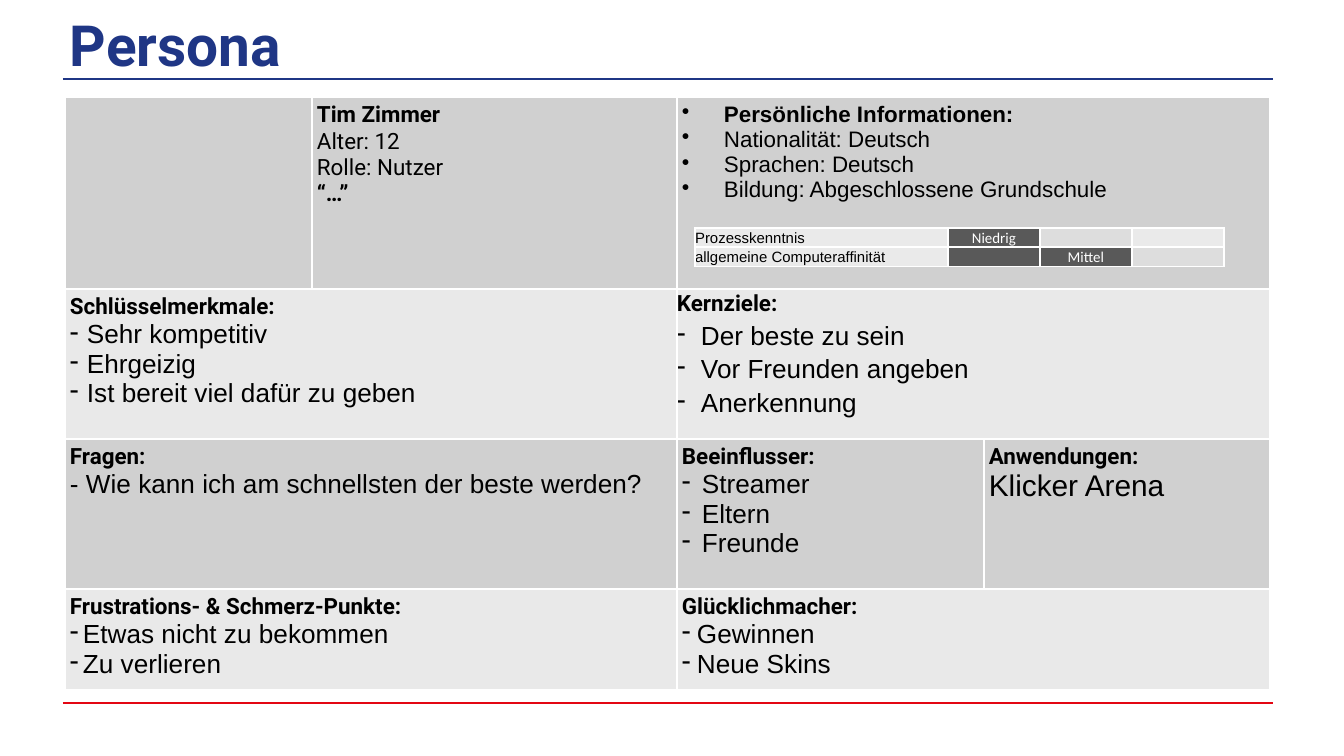
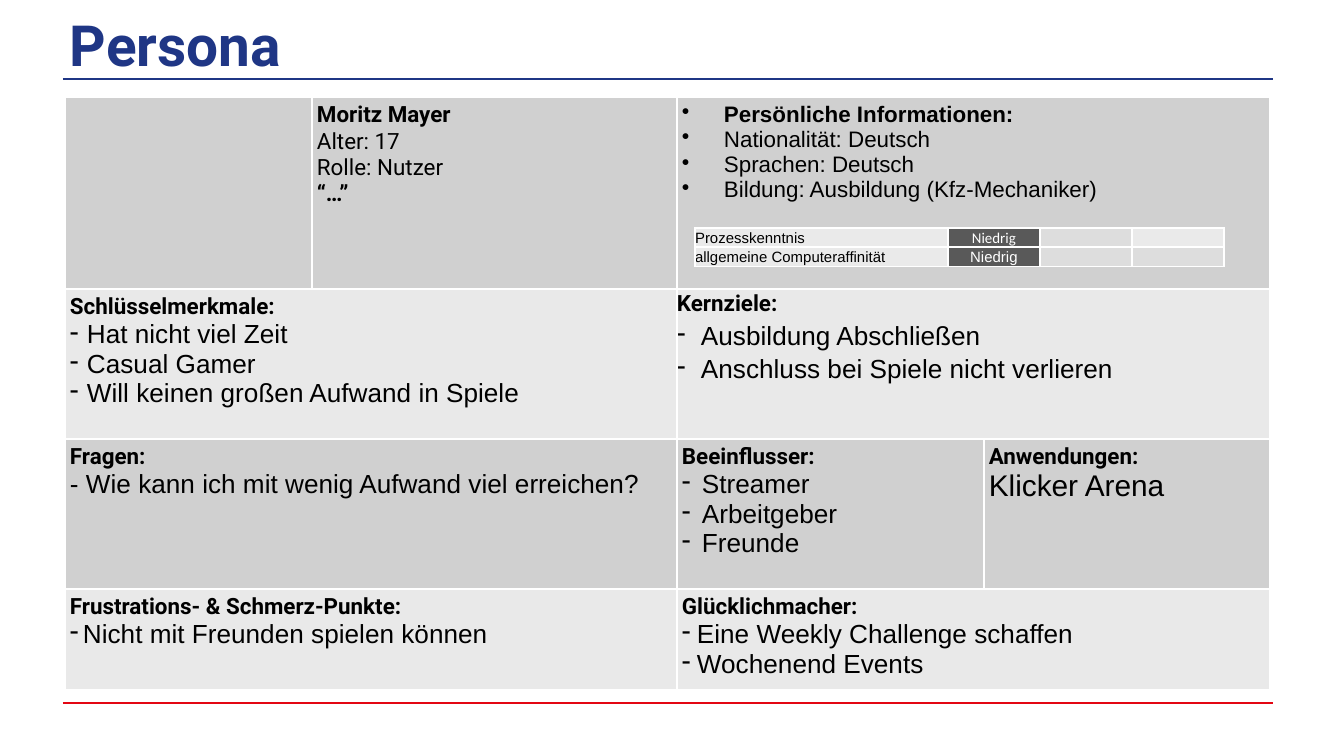
from dataclasses import dataclass

from lxml.etree import SubElement
from pptx import Presentation
from pptx.dml.color import RGBColor
from pptx.enum.shapes import MSO_CONNECTOR
from pptx.enum.text import MSO_ANCHOR, PP_ALIGN
from pptx.oxml.ns import qn
from pptx.util import Pt

NAVY = RGBColor(0x1F, 0x36, 0x85)
RED = RGBColor(0xE3, 0x06, 0x13)
BLACK = RGBColor(0x00, 0x00, 0x00)
WHITE = RGBColor(0xFF, 0xFF, 0xFF)
DARK_ROW = RGBColor(0xD0, 0xD0, 0xD0)
LIGHT_ROW = RGBColor(0xE9, 0xE9, 0xE9)
LEVEL_REACHED = RGBColor(0x59, 0x59, 0x59)
LEVEL_OPEN = RGBColor(0xDD, 0xDD, 0xDD)
LEVEL_PALE = RGBColor(0xEA, 0xEA, 0xEA)

HEADING_FONT = "Roboto"
BODY_FONT = "Arial"
LEVEL_FONT = "Calibri"
LEVELS = ["Niedrig", "Mittel"]

CELL_INSET = 5
PERSONA_COLUMNS = [247, 365, 307, 286]
PERSONA_ROWS = [192, 150, 150, 101]
SKILL_COLUMNS = [253, 92, 92, 92]
SKILL_ROWS = [17, 17]


@dataclass
class Line:
    text: str
    size: float = 12
    font: str = HEADING_FONT
    bold: bool = False
    color: RGBColor = BLACK
    indent: int = 0
    bullet: str = ""
    spacing: float = 1.0
    align: PP_ALIGN = PP_ALIGN.LEFT


@dataclass
class Persona:
    name: str
    age: int
    education: str
    traits: list
    goals: list
    question: str
    influencers: list
    frustrations: list
    delights: list
    skills: list  # label, level and font of the level


PERSONAS = [
    Persona(
        name="Tim Zimmer",
        age=12,
        education="Abgeschlossene Grundschule",
        traits=["Sehr kompetitiv", "Ehrgeizig", "Ist bereit viel dafür zu geben"],
        goals=["Der beste zu sein", "Vor Freunden angeben", "Anerkennung"],
        question="Wie kann ich am schnellsten der beste werden?",
        influencers=["Streamer", "Eltern", "Freunde"],
        frustrations=["Etwas nicht zu bekommen", "Zu verlieren"],
        delights=["Gewinnen", "Neue Skins"],
        skills=[("Prozesskenntnis", "Niedrig", LEVEL_FONT),
                ("allgemeine Computeraffinität", "Mittel", LEVEL_FONT)],
    ),
    Persona(
        name="Moritz Mayer",
        age=17,
        education="Ausbildung (Kfz-Mechaniker)",
        traits=["Hat nicht viel Zeit", "Casual Gamer",
                "Will keinen großen Aufwand in Spiele"],
        goals=["Ausbildung Abschließen", "Anschluss bei Spiele nicht verlieren"],
        question="Wie kann ich mit wenig Aufwand viel erreichen?",
        influencers=["Streamer", "Arbeitgeber", "Freunde"],
        frustrations=["Nicht mit Freunden spielen können"],
        delights=["Eine Weekly Challenge schaffen", "Wochenend Events"],
        skills=[("Prozesskenntnis", "Niedrig", LEVEL_FONT),
                ("allgemeine Computeraffinität", "Niedrig", BODY_FONT)],
    ),
]


def px(length):
    return round(length * 914400 / 134.4)


# Text
def write_line(paragraph, line):
    paragraph.text = line.text
    paragraph.alignment = line.align
    paragraph.line_spacing = line.spacing
    for run in paragraph.runs:
        run.font.size = Pt(line.size)
        run.font.name = line.font
        run.font.bold = line.bold
        run.font.color.rgb = line.color
    if line.bullet:
        properties = paragraph._p.get_or_add_pPr()
        properties.set("marL", str(px(line.indent)))
        properties.set("indent", str(-px(line.indent)))
        SubElement(properties, qn("a:buChar"), char=line.bullet)


def write_lines(text_frame, lines):
    for index, line in enumerate(lines):
        paragraph = text_frame.add_paragraph() if index else text_frame.paragraphs[0]
        write_line(paragraph, line)


def section(title, entries, indent, spacing=1.0, title_spacing=1.0):
    """A bold heading followed by a dashed list."""
    return [Line(title, bold=True, spacing=title_spacing)] + [
        Line(entry, 14, BODY_FONT, indent=indent, bullet="-", spacing=spacing)
        for entry in entries
    ]


# Tables
def add_plain_table(slide, left, top, columns, rows):
    frame = slide.shapes.add_table(len(rows), len(columns), px(left), px(top),
                                   px(sum(columns)), px(sum(rows)))
    table = frame.table
    table.first_row = False
    table.horz_banding = False
    for column, width in zip(table.columns, columns):
        column.width = px(width)
    for row, height in zip(table.rows, rows):
        row.height = px(height)
    for cell in table.iter_cells():
        add_borders(cell)
    return table


def add_borders(cell):
    properties = cell._tc.get_or_add_tcPr()
    for side in ("a:lnL", "a:lnR", "a:lnT", "a:lnB"):
        border = SubElement(properties, qn(side), w=str(Pt(1)))
        fill = SubElement(border, qn("a:solidFill"))
        SubElement(fill, qn("a:srgbClr"), val=str(WHITE))


def style_cell(cell, color, inset):
    cell.fill.solid()
    cell.fill.fore_color.rgb = color
    cell.margin_left = cell.margin_right = px(inset)
    cell.margin_top = cell.margin_bottom = px(inset)


def add_persona_table(slide, persona, left, top):
    table = add_plain_table(slide, left, top, PERSONA_COLUMNS, PERSONA_ROWS)
    for row in range(len(PERSONA_ROWS)):
        for column in range(len(PERSONA_COLUMNS)):
            style_cell(table.cell(row, column),
                       LIGHT_ROW if row % 2 else DARK_ROW, CELL_INSET)

    # Cells that span two columns
    for row, column in [(0, 2), (1, 0), (1, 2), (2, 0), (3, 0), (3, 2)]:
        table.cell(row, column).merge(table.cell(row, column + 1))
    style_cell(table.cell(1, 2), LIGHT_ROW, 0)

    facts = ["Persönliche Informationen:", "Nationalität: Deutsch",
             "Sprachen: Deutsch", f"Bildung: {persona.education}"]
    contents = {
        (0, 1): [Line(persona.name, bold=True), Line(f"Alter: {persona.age}"),
                 Line("Rolle: Nutzer"), Line("“…”", bold=True)],
        (0, 2): [Line(fact, font=BODY_FONT, bold=fact == facts[0],
                      indent=42, bullet="•") for fact in facts],
        (1, 0): section("Schlüsselmerkmale:", persona.traits, 17),
        (1, 2): section("Kernziele:", persona.goals, 24, 1.15, 1.07),
        (2, 0): [Line("Fragen:", bold=True),
                 Line(f"- {persona.question}", 14, BODY_FONT)],
        (2, 2): section("Beeinflusser:", persona.influencers, 20),
        (2, 3): [Line("Anwendungen:", bold=True),
                 Line("Klicker Arena", 16, BODY_FONT)],
        (3, 0): section("Frustrations- & Schmerz-Punkte:", persona.frustrations, 13),
        (3, 2): section("Glücklichmacher:", persona.delights, 15),
    }
    for (row, column), lines in contents.items():
        write_lines(table.cell(row, column).text_frame, lines)


def add_skill_table(slide, skills, left, top):
    table = add_plain_table(slide, left, top, SKILL_COLUMNS, SKILL_ROWS)
    for row, (label, level, font) in enumerate(skills):
        reached = LEVELS.index(level) + 1
        for column in range(len(SKILL_COLUMNS)):
            cell = table.cell(row, column)
            cell.vertical_anchor = MSO_ANCHOR.MIDDLE
            if column == 0:
                color = LEVEL_PALE
            elif column <= reached:
                color = LEVEL_REACHED
            else:
                color = LEVEL_PALE if (row, column) == (0, 3) else LEVEL_OPEN
            style_cell(cell, color, 0)

            paragraph = cell.text_frame.paragraphs[0]
            if column == 0:
                write_line(paragraph, Line(label, 8, BODY_FONT, spacing=1.07))
            elif column == reached:
                write_line(paragraph, Line(level, 8, font, color=WHITE,
                                           spacing=1.07, align=PP_ALIGN.CENTER))
            else:
                # Keeps empty cells from stretching the row
                SubElement(paragraph._p, qn("a:endParaRPr"), sz="800")


# Frame shared by the slides
def add_rule(slide, left, top, width, color):
    rule = slide.shapes.add_connector(MSO_CONNECTOR.STRAIGHT, px(left), px(top),
                                      px(left + width), px(top))
    rule.line.color.rgb = color
    rule.line.width = Pt(0.75)
    SubElement(rule._element.spPr, qn("a:effectLst"))


def add_title(slide, text, left, top, width, height):
    box = slide.shapes.add_textbox(px(left), px(top), px(width), px(height))
    text_frame = box.text_frame
    text_frame.word_wrap = True
    text_frame.margin_left = text_frame.margin_right = px(7)
    text_frame.margin_top = text_frame.margin_bottom = px(7)
    write_lines(text_frame, [Line(text, 30.4, bold=True, color=NAVY)])


def add_persona_slide(presentation, persona):
    slide = presentation.slides.add_slide(presentation.slide_layouts[6])
    left, width = 63, 1210
    add_rule(slide, left, 79, width, NAVY)
    add_rule(slide, left, 703, width, RED)
    add_title(slide, "Persona", left, 3, width, 79)
    add_persona_table(slide, persona, left + 2, 97)
    add_skill_table(slide, persona.skills, left + 632, 228)


def main():
    presentation = Presentation()
    presentation.slide_width = px(1344)
    presentation.slide_height = px(756)
    for persona in PERSONAS:
        add_persona_slide(presentation, persona)
    presentation.save("out.pptx")


if __name__ == "__main__":
    main()
